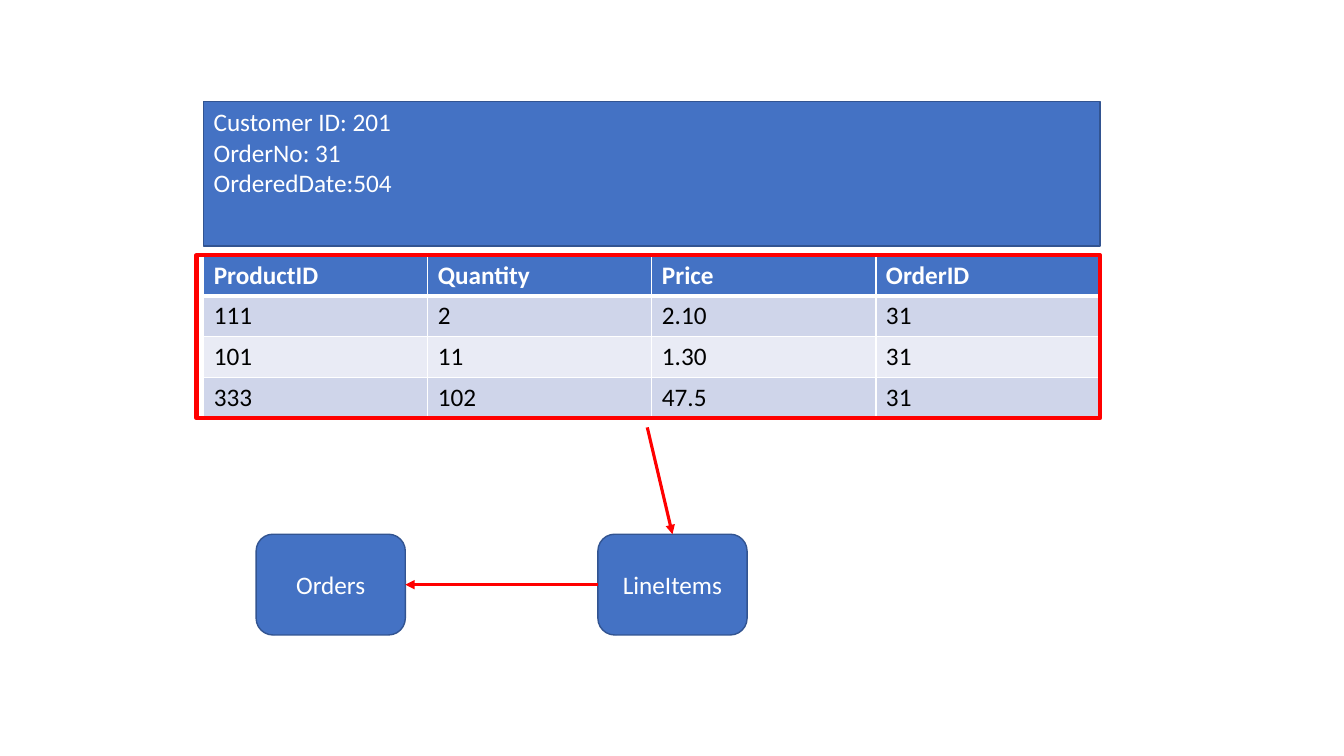
from dataclasses import dataclass

from lxml import etree
from pptx import Presentation
from pptx.dml.color import RGBColor
from pptx.enum.shapes import MSO_CONNECTOR, MSO_SHAPE
from pptx.enum.text import MSO_ANCHOR, PP_ALIGN
from pptx.oxml.ns import qn
from pptx.shapes.autoshape import Shape
from pptx.shapes.connector import Connector
from pptx.slide import Slide
from pptx.table import _Cell
from pptx.text.text import TextFrame
from pptx.util import Inches, Pt

RECT, ROUND = MSO_SHAPE.RECTANGLE, MSO_SHAPE.ROUNDED_RECTANGLE
STRAIGHT = MSO_CONNECTOR.STRAIGHT
LEFT, CENTER = PP_ALIGN.LEFT, PP_ALIGN.CENTER
TOP, MIDDLE = MSO_ANCHOR.TOP, MSO_ANCHOR.MIDDLE

BLUE = RGBColor(0x44, 0x72, 0xC4)
NAVY = RGBColor(0x32, 0x54, 0x91)
RED = RGBColor(0xFF, 0x00, 0x00)
WHITE = RGBColor(0xFF, 0xFF, 0xFF)
BLACK = RGBColor(0x00, 0x00, 0x00)
BANDS = (RGBColor(0xE9, 0xEB, 0xF5), RGBColor(0xCF, 0xD5, 0xEA))

# Connection sites of a rectangle
TOP_SITE, LEFT_SITE, RIGHT_SITE = 0, 1, 3

ROWS = (
    ("ProductID", "Quantity", "Price", "OrderID"),
    ("111", "2", "2.10", "31"),
    ("101", "11", "1.30", "31"),
    ("333", "102", "47.5", "31"),
)


@dataclass(frozen=True)
class Box:
    left: float
    top: float
    width: float
    height: float
    kind: MSO_SHAPE = RECT
    text: str = ""
    align: PP_ALIGN = LEFT
    anchor: MSO_ANCHOR = TOP
    fill: RGBColor | None = BLUE
    line: RGBColor = NAVY
    weight: float = 1


ORDER = Box(2.02, 1.01, 8.89, 1.43,
            text="Customer ID: 201\nOrderNo: 31\nOrderedDate:504")
FRAME = Box(1.95, 2.53, 8.96, 1.62, fill=None, line=RED, weight=3)
ORDERS, ITEMS = (
    Box(left, 5.3, 1.48, 1, ROUND, name, CENTER, MIDDLE)
    for left, name in ((2.54, "Orders"), (5.93, "LineItems"))
)


def write(frame: TextFrame, text: str, *, color: RGBColor = WHITE,
          bold: bool = False, align: PP_ALIGN = LEFT) -> None:
    frame.text = text
    for para in frame.paragraphs:
        para.alignment = align
        font = para.font
        font.name, font.size, font.bold = "Calibri", Pt(18), bold
        font.color.rgb = color


def draw_box(slide: Slide, box: Box) -> Shape:
    shape = slide.shapes.add_shape(
        box.kind, Inches(box.left), Inches(box.top),
        Inches(box.width), Inches(box.height))
    shape.shadow.inherit = False
    if box.fill is None:
        shape.fill.background()
    else:
        shape.fill.solid()
        shape.fill.fore_color.rgb = box.fill
    shape.line.color.rgb = box.line
    shape.line.width = Pt(box.weight)
    if box.text:
        shape.text_frame.word_wrap = True
        shape.text_frame.vertical_anchor = box.anchor
        write(shape.text_frame, box.text, align=box.align)
    return shape


def draw_arrow(slide: Slide, x: float, y: float,
               end: Shape, site: int) -> Connector:
    arrow = slide.shapes.add_connector(
        STRAIGHT, Inches(x), Inches(y), Inches(x), Inches(y))
    arrow.end_connect(end, site)
    arrow.line.color.rgb = RED
    arrow.line.width = Pt(2.25)
    props = arrow._element.spPr
    etree.SubElement(props.find(qn("a:ln")), qn("a:tailEnd"), type="triangle")
    etree.SubElement(props, qn("a:effectLst"))
    return arrow


def edge_cell(cell: _Cell, row: int) -> None:
    props = cell._tc.get_or_add_tcPr()
    widths = {"L": 1, "R": 1, "T": 3 if row == 1 else 1,
              "B": 3 if row == 0 else 1}
    for side, width in widths.items():
        edge = etree.SubElement(props, qn(f"a:ln{side}"), w=str(Pt(width)))
        fill = etree.SubElement(edge, qn("a:solidFill"))
        etree.SubElement(fill, qn("a:srgbClr"), val=str(WHITE))


def draw_table(slide: Slide) -> None:
    table = slide.shapes.add_table(
        len(ROWS), len(ROWS[0]), Inches(ORDER.left), Inches(FRAME.top),
        Inches(ORDER.width), Inches(FRAME.height)).table
    for i, row in enumerate(ROWS):
        head = i == 0
        for j, text in enumerate(row):
            cell = table.cell(i, j)
            edge_cell(cell, i)
            cell.fill.solid()
            cell.fill.fore_color.rgb = BLUE if head else BANDS[i % 2]
            write(cell.text_frame, text, bold=head,
                  color=WHITE if head else BLACK)


def main() -> None:
    deck = Presentation()
    deck.slide_width, deck.slide_height = Inches(13.33), Inches(7.5)
    slide = deck.slides.add_slide(deck.slide_layouts[6])

    # Order form with its line items
    draw_table(slide)
    draw_box(slide, ORDER)

    # Database tables
    orders = draw_box(slide, ORDERS)
    items = draw_box(slide, ITEMS)

    # Red frame and arrows
    draw_box(slide, FRAME)
    draw_arrow(slide, 6.42, 4.24, items, TOP_SITE)
    link = draw_arrow(slide, ITEMS.left, 5.8, orders, RIGHT_SITE)
    link.begin_connect(items, LEFT_SITE)

    deck.save("out.pptx")


if __name__ == "__main__":
    main()
